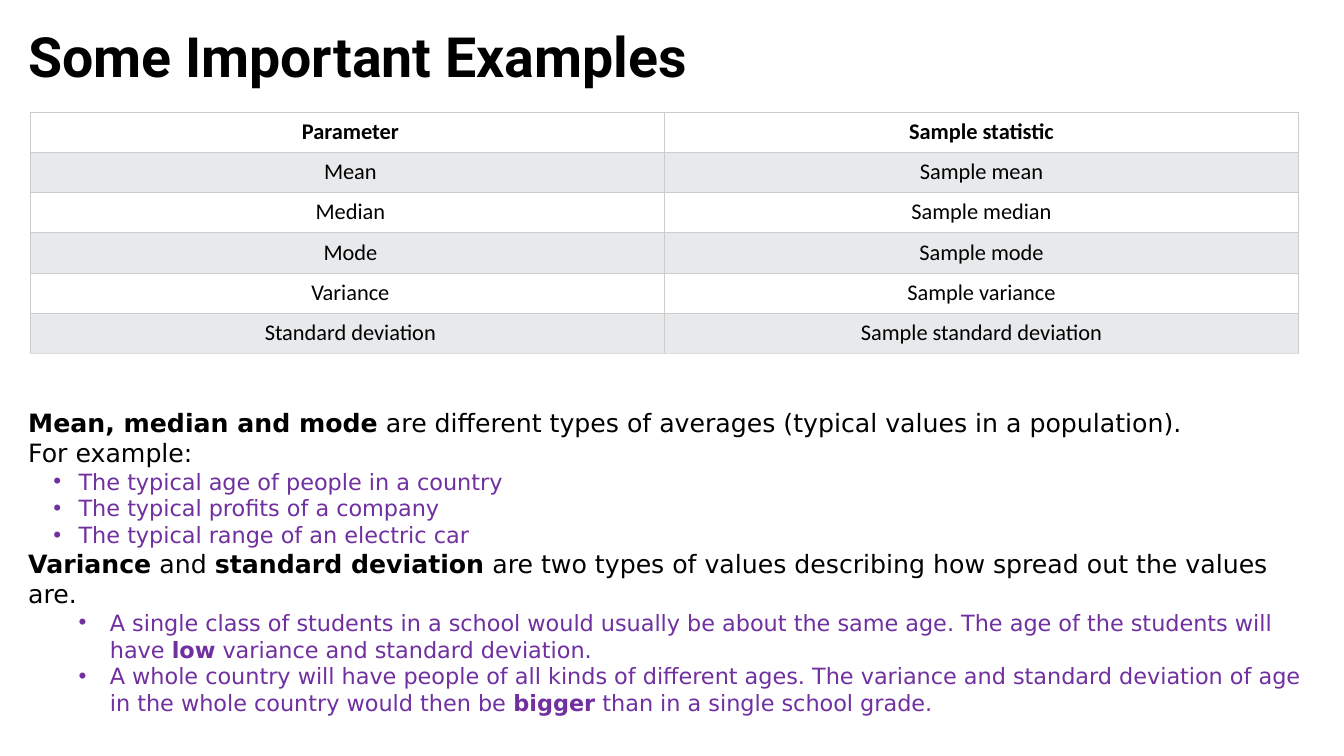
from lxml.etree import SubElement
from pptx import Presentation
from pptx.dml.color import RGBColor
from pptx.enum.text import MSO_ANCHOR as Anchor, MSO_AUTO_SIZE as AutoSize, PP_ALIGN as Align
from pptx.oxml.ns import qn
from pptx.util import Inches, Pt

# Content: ** switches bold on and off
TITLE = "**Some Important Examples**"
TABLE_ROWS = [
    ("**Parameter**", "**Sample statistic**"),
    ("Mean", "Sample mean"),
    ("Median", "Sample median"),
    ("Mode", "Sample mode"),
    ("Variance", "Sample variance"),
    ("Standard deviation", "Sample standard deviation"),
]
BODY = [
    ("statement", "**Mean, median and mode** are different types of averages "
                  "(typical values in a population)."),
    ("statement", "For example:"),
    ("average", "The typical age of people in a country"),
    ("average", "The typical profits of a company"),
    ("average", "The typical range of an electric car"),
    ("statement", "**Variance** and **standard deviation** are two types of values "
                  "describing how spread out the values are."),
    ("spread", "A single class of students in a school would usually be about the same age. "
               "The age of the students will have **low** variance and standard deviation."),
    ("spread", "A whole country will have people of all kinds of different ages. "
               "The variance and standard deviation of age in the whole country "
               "would then be **bigger** than in a single school grade."),
]
COLORS = {"text": "000000", "example": "7030A0", "plain": "FFFFFF", "band": "E7E9EB",
          "border": "CCCCCC", "bottom": "DDDDDD"}

# Left margin and bullet hang in inches, size in points
BODY_STYLES = {
    "statement": dict(size=18, color="text"),
    "average": dict(size=16, color="example", level=1, margin=0.5, hang=0.25),
    "spread": dict(size=16, color="example", level=1, margin=0.81, hang=0.31),
}
TABLE_BOX = (0.3, 1.11, 12.58, 2.4)


def write(paragraph, text, font, size, color="text", align=Align.LEFT,
          spacing=1.0, level=0, margin=0, hang=0):
    """Fill a paragraph, with a bullet when hang is given."""
    paragraph.alignment = align
    paragraph.line_spacing = spacing
    paragraph.space_before = paragraph.space_after = Pt(0)
    paragraph.level = level
    properties = paragraph._p.get_or_add_pPr()
    properties.set("marL", str(Inches(margin)))
    properties.set("indent", str(-Inches(hang)))
    if hang:
        SubElement(properties, qn("a:buFont"), typeface="Arial")
        SubElement(properties, qn("a:buChar"), char="•")
    else:
        SubElement(properties, qn("a:buNone"))
    for index, part in enumerate(text.split("**")):
        if part:
            run = paragraph.add_run()
            run.text = part
            run.font.name = font
            run.font.size = Pt(size)
            run.font.bold = index % 2 == 1
            run.font.color.rgb = RGBColor.from_string(COLORS[color])


def place(shape, left, top, width, height, anchor):
    shape.left, shape.top = Inches(left), Inches(top)
    shape.width, shape.height = Inches(width), Inches(height)
    frame = shape.text_frame
    frame.word_wrap = True
    frame.auto_size = AutoSize.NONE
    frame.vertical_anchor = anchor
    return frame


def set_borders(cell, bottom):
    properties = cell._tc.get_or_add_tcPr()
    sides = {"lnL": "border", "lnR": "border", "lnT": "border", "lnB": bottom}
    for index, (side, color) in enumerate(sides.items()):
        line = properties.makeelement(qn("a:" + side), {"w": str(Pt(0.6))})
        fill = SubElement(line, qn("a:solidFill"))
        SubElement(fill, qn("a:srgbClr"), val=COLORS[color])
        properties.insert(index, line)


presentation = Presentation()
presentation.slide_width, presentation.slide_height = Inches(13.33), Inches(7.5)
slide = presentation.slides.add_slide(presentation.slide_layouts[1])

# Title
title_frame = place(slide.shapes.title, 0.18, 0.23, 12.98, 0.73, Anchor.MIDDLE)
write(title_frame.paragraphs[0], TITLE, "Roboto", 39.6, spacing=0.9)

# Explanations and examples
body_frame = place(slide.placeholders[1], 0.18, 3.99, 12.85, 3.2, Anchor.TOP)
for index, (style, text) in enumerate(BODY):
    paragraph = body_frame.add_paragraph() if index else body_frame.paragraphs[0]
    write(paragraph, text, "DejaVu Sans", **BODY_STYLES[style])

# Table of parameters and statistics
row_count, column_count = len(TABLE_ROWS), len(TABLE_ROWS[0])
table = slide.shapes.add_table(row_count, column_count,
                               *[Inches(length) for length in TABLE_BOX]).table
for row, texts in enumerate(TABLE_ROWS):
    for column, text in enumerate(texts):
        cell = table.cell(row, column)
        cell.margin_left = Inches(0.07 if column else 0.13)
        cell.margin_right = Inches(0.07)
        cell.margin_top = cell.margin_bottom = Inches(0.06)
        cell.fill.solid()
        cell.fill.fore_color.rgb = RGBColor.from_string(COLORS["band" if row % 2 else "plain"])
        set_borders(cell, "bottom" if row == row_count - 1 else "border")
        write(cell.text_frame.paragraphs[0], text, "Calibri", 16, align=Align.CENTER)

presentation.save("out.pptx")
